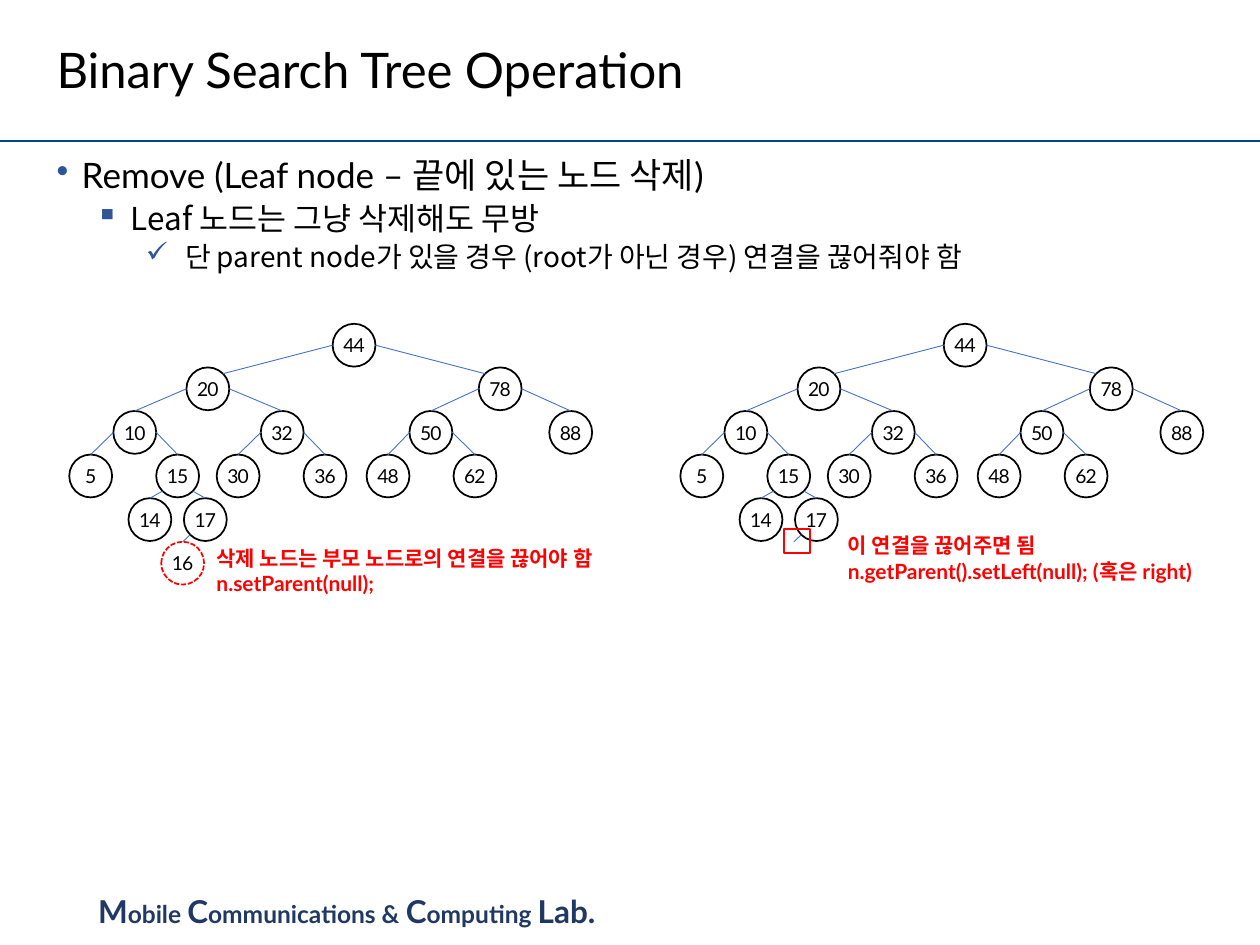
from dataclasses import dataclass
from typing import Any, Optional

import pptx
import pptx.dml.color
import pptx.enum.dml
import pptx.enum.shapes
import pptx.enum.text
import pptx.oxml.ns
import pptx.util
from lxml import etree

Inches = pptx.util.Inches
Pt = pptx.util.Pt
RGBColor = pptx.dml.color.RGBColor
qn = pptx.oxml.ns.qn
SHAPE = pptx.enum.shapes.MSO_SHAPE
ANCHOR = pptx.enum.text.MSO_ANCHOR

BLACK = RGBColor(0x00, 0x00, 0x00)
RED = RGBColor(0xFF, 0x00, 0x00)
NAVY = RGBColor(0x20, 0x38, 0x64)
RULE = RGBColor(0x00, 0x46, 0x7F)
EDGE = RGBColor(0x44, 0x72, 0xC4)
BULLET = RGBColor(0x2F, 0x55, 0x97)
LATO = "Lato"
NOTO = "Noto Sans CJK KR"

SIZE = 0.34
ROOT_TOP = 2.57
STEP = 1.73 / 5
CORNER = 0.05
TREE_GAP = 4.85


@dataclass
class Node:
    """A tree node, placed by its left edge and its level."""
    key: int
    left: float
    level: int
    parent: Optional[int] = None

    @property
    def top(self) -> float:
        """Return the top edge of the node."""
        return ROOT_TOP + STEP * self.level


@dataclass
class Item:
    """A bulleted line of the body."""
    text: str
    size: int
    font: str
    mark: str
    margin: float
    indent: float
    before: float


NODES = [
    Node(44, 2.64, 0),
    Node(20, 1.48, 1, 44), Node(78, 3.8, 1, 44),
    Node(10, 0.9, 2, 20), Node(32, 2.07, 2, 20),
    Node(50, 3.25, 2, 78), Node(88, 4.36, 2, 78),
    Node(5, 0.55, 3, 10), Node(15, 1.24, 3, 10),
    Node(30, 1.72, 3, 32), Node(36, 2.41, 3, 32),
    Node(48, 2.91, 3, 50), Node(62, 3.6, 3, 50),
    Node(14, 1.02, 4, 15), Node(17, 1.46, 4, 15),
    Node(16, 1.28, 5, 17),
]
REMOVED = 16

ITEMS = [
    Item("Remove (Leaf node – 끝에 있는 노드 삭제)", 20, LATO, "•", 0.2, -0.28, 7.5),
    Item("Leaf 노드는 그냥 삭제해도 무방", 18, NOTO, "▪", 0.59, -0.28, 3.8),
    Item("단 parent node가 있을 경우 (root가 아닌 경우) 연결을 끊어줘야 함",
         16, NOTO, "✓", 1.02, -0.31, 3.8),
]

FOOTER = [("M", 18), ("obile ", 14), ("C", 18), ("ommunications & ", 14),
          ("C", 18), ("omputing ", 14), ("Lab.", 18)]


def style(para: Any, size: float, color: RGBColor, name: str = LATO,
          bold: bool = False) -> None:
    """Set the font of a whole paragraph."""
    font = para.font
    font.size, font.bold, font.name = Pt(size), bold, name
    font.color.rgb = color
    etree.SubElement(font._rPr, qn("a:ea")).set("typeface", NOTO)


def add_box(slide: Any, left: float, top: float, width: float, height: float,
            wrap: bool = True) -> Any:
    """Add a text box and return its text frame."""
    box = slide.shapes.add_textbox(
        Inches(left), Inches(top), Inches(width), Inches(height))
    box.text_frame.word_wrap = wrap
    return box.text_frame


def add_line(shapes: Any, start: tuple[float, float], end: tuple[float, float],
             color: RGBColor, width: float) -> None:
    """Draw a straight line without a shadow."""
    line = shapes.add_connector(
        pptx.enum.shapes.MSO_CONNECTOR.STRAIGHT,
        Inches(start[0]), Inches(start[1]), Inches(end[0]), Inches(end[1]))
    line.line.color.rgb = color
    line.line.width = Pt(width)
    etree.SubElement(line._element.spPr, qn("a:effectLst"))


def add_frame(shapes: Any, kind: Any, left: float, top: float, width: float,
              height: float, color: RGBColor) -> Any:
    """Draw an unfilled outline shape."""
    shape = shapes.add_shape(
        kind, Inches(left), Inches(top), Inches(width), Inches(height))
    shape.shadow.inherit = False
    shape.fill.background()
    shape.line.color.rgb = color
    shape.line.width = Pt(1)
    return shape


def add_node(shapes: Any, node: Node, shift: float) -> None:
    """Draw a node circle with its key."""
    gone = node.key == REMOVED
    shape = add_frame(shapes, SHAPE.OVAL, node.left + shift, node.top,
                      SIZE, SIZE, RED if gone else BLACK)
    if gone:
        shape.line.dash_style = pptx.enum.dml.MSO_LINE.SQUARE_DOT
    frame = shape.text_frame
    frame.margin_left = frame.margin_right = 0
    frame.margin_top = frame.margin_bottom = 0
    frame.vertical_anchor = ANCHOR.MIDDLE
    para = frame.paragraphs[0]
    para.text = str(node.key)
    para.alignment = pptx.enum.text.PP_ALIGN.CENTER
    style(para, 11, BLACK)
    para.font._rPr.set("spc", "-50")


def add_edge(shapes: Any, parent: Node, child: Node, shift: float) -> None:
    """Join a parent's side or lower corner to a child's top or upper corner."""
    leftward = child.left < parent.left
    inset = CORNER if parent.level >= 3 else 0
    drop = SIZE - CORNER if parent.level >= 3 else SIZE / 2
    start_x = parent.left + (inset if leftward else SIZE - inset)
    end_x, end_y = child.left + SIZE / 2, child.top
    if child.level == 1:
        end_x = child.left + (SIZE - CORNER if leftward else CORNER)
        end_y += CORNER
    add_line(shapes, (start_x + shift, parent.top + drop),
             (end_x + shift, end_y), EDGE, 0.5)


def add_tree(slide: Any, shift: float, hidden: Optional[int] = None) -> None:
    """Draw the tree as a group, keeping the edge to a hidden node."""
    shapes = slide.shapes.add_group_shape().shapes
    for node in NODES:
        if node.key != hidden:
            add_node(shapes, node, shift)
    by_key = {node.key: node for node in NODES}
    for node in NODES:
        if node.parent is not None:
            add_edge(shapes, by_key[node.parent], node, shift)


def add_item(para: Any, item: Item, level: int) -> None:
    """Fill a bulleted paragraph."""
    para.text, para.level = item.text, level
    para.line_spacing, para.space_before = 0.9, Pt(item.before)
    style(para, item.size, BLACK, item.font)
    props = para._p.pPr
    props.set("marL", str(Inches(item.margin)))
    props.set("indent", str(Inches(item.indent)))
    tint = etree.Element(qn("a:buClr"))
    etree.SubElement(tint, qn("a:srgbClr")).set("val", str(BULLET))
    mark = etree.Element(qn("a:buChar"), char=item.mark)
    for part in (tint, mark):
        props.find(qn("a:defRPr")).addprevious(part)


def add_note(slide: Any, left: float, top: float, width: float,
             lines: list[str]) -> None:
    """Add a bold red note."""
    frame = add_box(slide, left, top, width, 0.5, wrap=False)
    frame.auto_size = pptx.enum.text.MSO_AUTO_SIZE.SHAPE_TO_FIT_TEXT
    frame.text = "\n".join(lines)
    for para in frame.paragraphs:
        style(para, 12, RED, bold=True)


def main() -> None:
    """Build and save the slide."""
    deck = pptx.Presentation()
    deck.slide_width, deck.slide_height = Inches(10), Inches(7.5)
    slide = deck.slides.add_slide(deck.slide_layouts[6])

    lab = add_box(slide, 0.68, 7.03, 4.53, 0.4).paragraphs[0]
    style(lab, 18, NAVY, bold=True)
    for text, size in FOOTER:
        run = lab.add_run()
        run.text, run.font.size = text, Pt(size)
    add_line(slide.shapes, (0, 1.12), (10, 1.12), RULE, 1.5)

    body = add_box(slide, 0.35, 1.21, 9.31, 5.44)
    for level, item in enumerate(ITEMS):
        para = body.add_paragraph() if level else body.paragraphs[0]
        add_item(para, item, level)

    title = add_box(slide, 0.35, 0.14, 9.31, 0.88)
    title.vertical_anchor = ANCHOR.MIDDLE
    title.text = "Binary Search Tree Operation"
    title.paragraphs[0].line_spacing = 0.9
    style(title.paragraphs[0], 28, BLACK)

    add_tree(slide, 0)
    add_tree(slide, TREE_GAP, hidden=REMOVED)
    add_frame(slide.shapes, SHAPE.RECTANGLE, 6.22, 4.2, 0.21, 0.19, RED)
    add_note(slide, 6.63, 4.18, 3.28,
             ["이 연결을 끊어주면 됨", "n.getParent().setLeft(null); (혹은 right)"])
    add_note(slide, 1.62, 4.28, 3.54,
             ["삭제 노드는 부모 노드로의 연결을 끊어야 함", "n.setParent(null);"])
    deck.save("out.pptx")


main()
